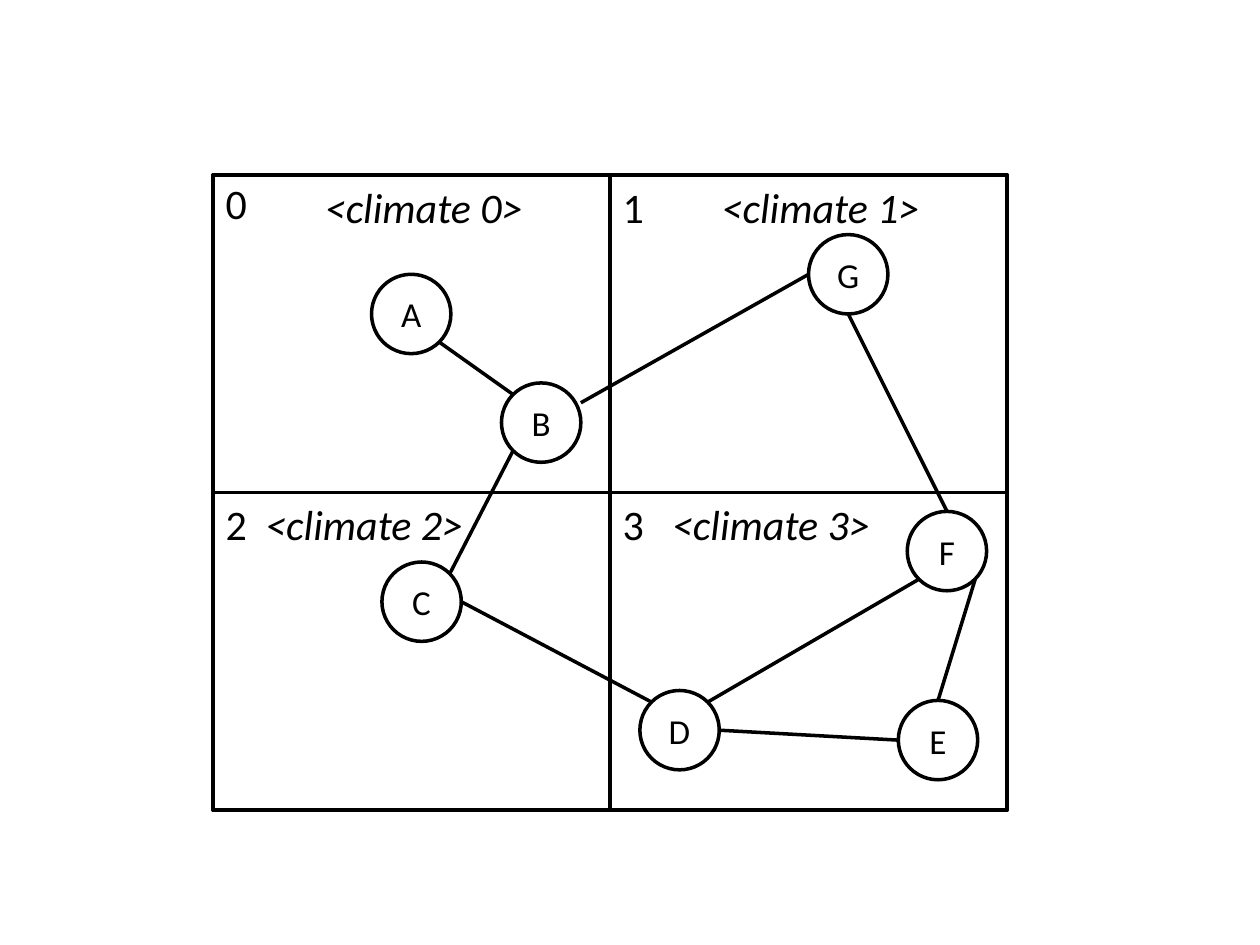
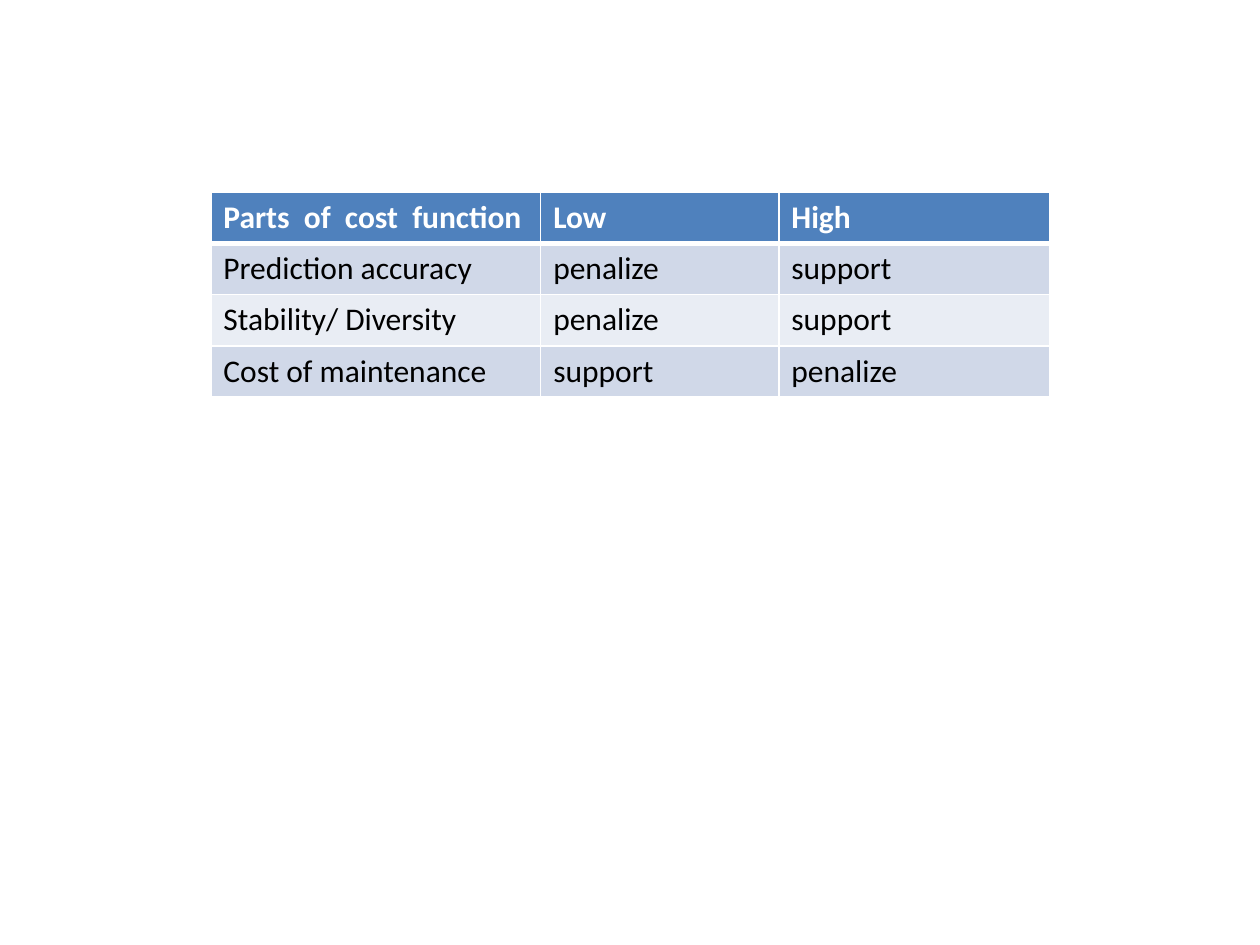
from dataclasses import dataclass

from lxml import etree
from pptx import Presentation
from pptx.dml.color import RGBColor
from pptx.enum.shapes import MSO_CONNECTOR, MSO_SHAPE
from pptx.enum.text import MSO_ANCHOR, MSO_AUTO_SIZE, PP_ALIGN
from pptx.oxml.ns import qn
from pptx.util import Cm, Pt

RECT, OVAL = MSO_SHAPE.RECTANGLE, MSO_SHAPE.OVAL
LINE = MSO_CONNECTOR.STRAIGHT
MIDDLE, CENTER = MSO_ANCHOR.MIDDLE, PP_ALIGN.CENTER
GROW = MSO_AUTO_SIZE.SHAPE_TO_FIT_TEXT

FONT = "Calibri"
COLORS = {"ink": "000000", "white": "FFFFFF", "head": "4F81BD",
          "odd": "D0D8E8", "even": "E9EDF4"}

# Map measures, in cm
LEFT, TOP = 4.3, 3.53
WIDE, HIGH = 8, 6.4
RADIUS = 0.8
STROKE = 2


@dataclass
class Zone:
    col: int
    row: int
    inset: float  # from zone edge to climate label
    width: float  # of climate label
    lift: float = 0  # raises the number


@dataclass
class Node:
    x: float
    y: float


@dataclass
class Edge:
    start: str
    exit: tuple[float, float]  # offset from node centre, in radii
    end: str
    entry: tuple[float, float]


ZONES = [Zone(0, 0, 2, 5.2, 0.08), Zone(1, 0, 2, 5),
         Zone(0, 1, 0.8, 4.8), Zone(1, 1, 1, 4.6)]

NODES = {"A": Node(8.29, 6.33), "B": Node(10.91, 8.52), "C": Node(8.5, 12.13),
         "D": Node(13.7, 14.72), "G": Node(17.1, 5.53),
         "F": Node(19.09, 11.11), "E": Node(18.91, 14.92)}

DIAG = 0.71
N, S, W, E = (0, -1), (0, 1), (-1, 0), (1, 0)
NW, NE, SW, SE = (-DIAG, -DIAG), (DIAG, -DIAG), (-DIAG, DIAG), (DIAG, DIAG)
EDGES = [Edge("A", SE, "B", NW), Edge("B", SW, "C", NE),
         Edge("C", E, "D", NW), Edge("F", SW, "D", NE),
         Edge("F", SE, "E", N), Edge("D", E, "E", W),
         Edge("G", W, "B", (1, -0.5)), Edge("G", S, "F", N)]

COLS = [6.65, 4.8, 5.47]
ROW = 1.03
ROWS = [("Parts  of  cost  function ", "Low", "High"),
        ("Prediction accuracy", "penalize", "support"),
        ("Stability/ Diversity ", "penalize", "support"),
        ("Cost of maintenance", "support", "penalize")]


def rgb(name: str) -> RGBColor:
    return RGBColor.from_string(COLORS[name])


def style(para, size: float, color: str = "ink", bold: bool = False,
          italic: bool = False) -> None:
    font = para.font
    font.name, font.size = FONT, Pt(size)
    font.bold, font.italic = bold, italic
    font.color.rgb = rgb(color)


def outline(slide, kind, x: float, y: float, width: float, height: float):
    shape = slide.shapes.add_shape(kind, Cm(x), Cm(y), Cm(width), Cm(height))
    shape.shadow.inherit = False
    shape.fill.background()
    shape.line.color.rgb = rgb("ink")
    shape.line.width = Pt(STROKE)
    return shape


def label(slide, text: str, x: float, y: float, width: float,
          italic: bool = False) -> None:
    box = slide.shapes.add_textbox(Cm(x), Cm(y), Cm(width), Cm(1.28))
    frame = box.text_frame
    frame.word_wrap, frame.auto_size = True, GROW
    frame.text = text
    style(frame.paragraphs[0], 24, italic=italic)


def circle(slide, name: str, node: Node) -> None:
    shape = outline(slide, OVAL, node.x - RADIUS, node.y - RADIUS,
                    2 * RADIUS, 2 * RADIUS)
    frame = shape.text_frame
    frame.vertical_anchor = MIDDLE
    frame.text = name
    para = frame.paragraphs[0]
    para.alignment = CENTER
    style(para, 20)


def spot(name: str, side: tuple[float, float]) -> tuple[Cm, Cm]:
    node = NODES[name]
    return Cm(node.x + side[0] * RADIUS), Cm(node.y + side[1] * RADIUS)


def link(slide, edge: Edge) -> None:
    line = slide.shapes.add_connector(LINE, *spot(edge.start, edge.exit),
                                      *spot(edge.end, edge.entry))
    line.line.color.rgb = rgb("ink")
    line.line.width = Pt(STROKE)
    etree.SubElement(line._element.spPr, qn("a:effectLst"))


def border(cell, below: float) -> None:
    props = cell._tc.get_or_add_tcPr()
    sides = {"L": 1, "R": 1, "T": 1, "B": below}
    for i, (side, width) in enumerate(sides.items()):
        line = etree.Element(qn(f"a:ln{side}"), w=str(Pt(width)))
        fill = etree.SubElement(line, qn("a:solidFill"))
        etree.SubElement(fill, qn("a:srgbClr"), val=COLORS["white"])
        props.insert(i, line)


def draw_map(slide) -> None:
    # Frame and zones
    outline(slide, RECT, LEFT, TOP, 2 * WIDE, 2 * HIGH)
    spots = [(LEFT + z.col * WIDE, TOP + z.row * HIGH) for z in ZONES]
    for x, y in spots:
        outline(slide, RECT, x, y, WIDE, HIGH)
    for i, (zone, (x, y)) in enumerate(zip(ZONES, spots)):
        label(slide, str(i), x, y - zone.lift, 1.2 + 0.4 * zone.col)
    # Graph
    for name, node in NODES.items():
        circle(slide, name, node)
    for edge in EDGES:
        link(slide, edge)
    # Climate labels
    for i, (zone, (x, y)) in enumerate(zip(ZONES, spots)):
        label(slide, f"<climate {i}>", x + zone.inset, y, zone.width, True)


def draw_costs(slide) -> None:
    frame = slide.shapes.add_table(len(ROWS), len(COLS), Cm(4.25), Cm(3.88),
                                   Cm(sum(COLS)), Cm(ROW * len(ROWS)))
    table = frame.table
    for col, width in zip(table.columns, COLS):
        col.width = Cm(width)
    for r, texts in enumerate(ROWS):
        head = r == 0
        fill = "head" if head else "odd" if r % 2 else "even"
        for c, text in enumerate(texts):
            cell = table.cell(r, c)
            cell.text = text
            style(cell.text_frame.paragraphs[0], 18,
                  "white" if head else "ink", bold=head)
            cell.fill.solid()
            cell.fill.fore_color.rgb = rgb(fill)
            border(cell, 3 if head else 1)


deck = Presentation()
deck.slide_width, deck.slide_height = Cm(25.4), Cm(19.05)
blank = deck.slide_layouts[6]
for draw in (draw_map, draw_costs):
    draw(deck.slides.add_slide(blank))
deck.save("out.pptx")
